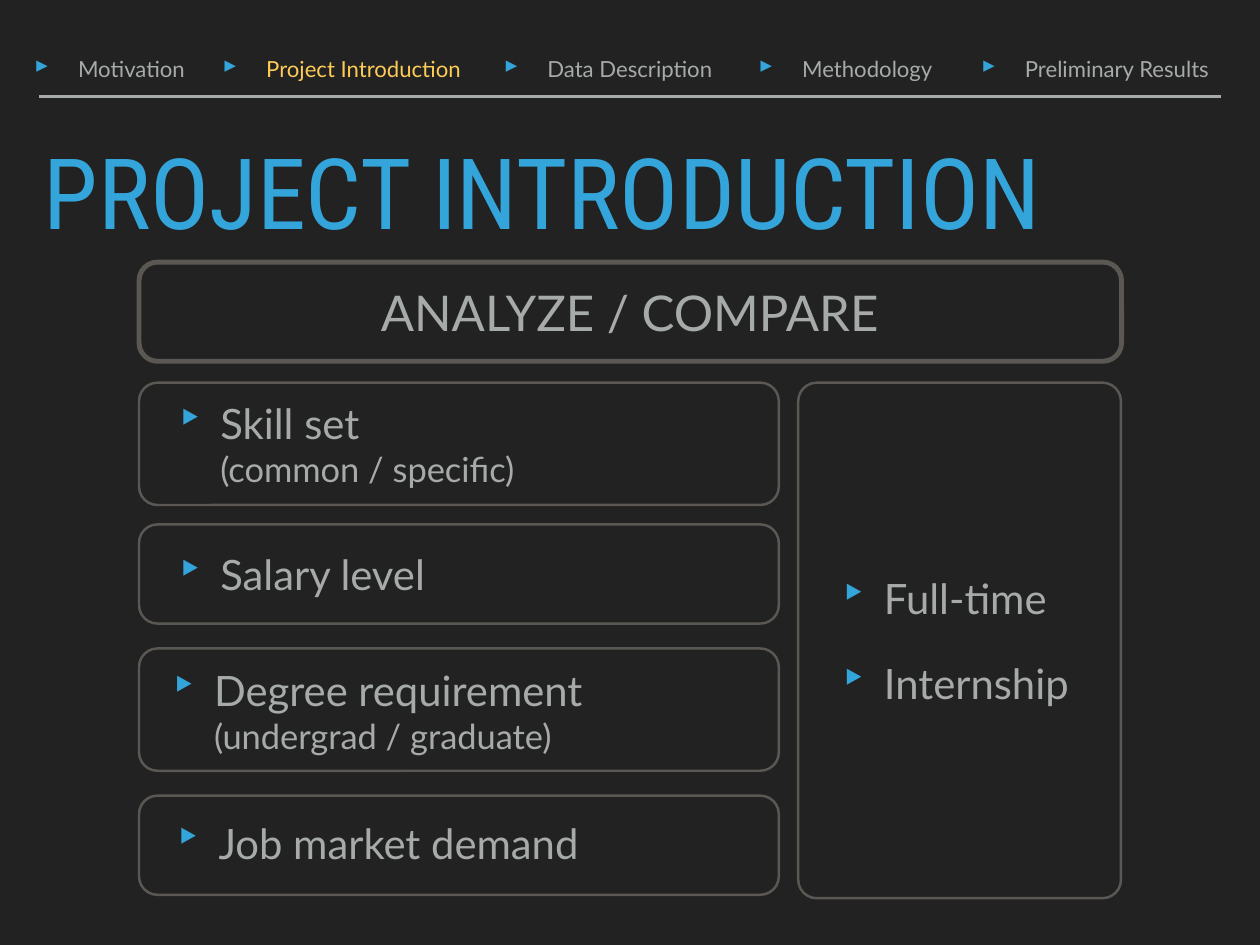
import pptx
import pptx.dml.color
import pptx.enum.shapes
import pptx.enum.text
import pptx.oxml.ns
import pptx.util
from lxml import etree

Pt = pptx.util.Pt
ANCHOR = pptx.enum.text.MSO_ANCHOR
ALIGN = pptx.enum.text.PP_ALIGN
FIT = pptx.enum.text.MSO_AUTO_SIZE


def rgb(value):
    return pptx.dml.color.RGBColor.from_string(value)


class Deck:
    """Holds the dark style and the current slide, and draws its elements."""

    back, blue, gold, grey, edge = "222222", "34A5DA", "FDCB56", "A6AAA9", "5B5854"
    font, title_font = "Lato", "Roboto Condensed"
    radius, indent = 15, 35.4

    def __init__(self, width, height):
        self.prs = pptx.Presentation()
        self.prs.slide_width, self.prs.slide_height = Pt(width), Pt(height)
        self.s = self.prs.slides.add_slide(self.prs.slide_layouts[6])
        self.s.background.fill.solid()
        self.s.background.fill.fore_color.rgb = rgb(self.back)

    def rule(self, x1, x2, y):
        c = self.s.shapes.add_connector(
            pptx.enum.shapes.MSO_CONNECTOR.STRAIGHT, Pt(x1), Pt(y), Pt(x2), Pt(y))
        c.line.color.rgb = rgb(self.grey)
        c.line.width = Pt(2)
        etree.SubElement(c._element.spPr, pptx.oxml.ns.qn("a:effectLst"))

    def frame(self, x, y, w, h, weight=2):
        sp = self.s.shapes.add_shape(
            pptx.enum.shapes.MSO_SHAPE.ROUNDED_RECTANGLE, Pt(x), Pt(y), Pt(w), Pt(h))
        sp.adjustments[0] = self.radius / min(w, h)
        sp.shadow.inherit = False
        sp.fill.background()
        sp.line.color.rgb = rgb(self.edge)
        sp.line.width = Pt(weight)

    def text(self, box, paragraphs, color=grey, font=font, bullet=None, wrap=True,
             grow=True, anchor=ANCHOR.MIDDLE, align=ALIGN.LEFT, before=28, inset=4,
             spacing=None):
        tf = self.s.shapes.add_textbox(*(Pt(v) for v in box)).text_frame
        tf.word_wrap = wrap
        tf.auto_size = FIT.SHAPE_TO_FIT_TEXT if grow else FIT.NONE
        tf.vertical_anchor = anchor
        tf.margin_left = tf.margin_right = tf.margin_top = tf.margin_bottom = Pt(inset)
        for i, lines in enumerate(paragraphs):
            p = tf.add_paragraph() if i else tf.paragraphs[0]
            p.alignment = align
            p.space_before = Pt(before)
            if spacing:
                p.line_spacing = spacing
            if bullet:
                self.bullet(p, bullet)
            for j, (words, size) in enumerate(lines):
                if j:
                    p.add_line_break()
                r = p.add_run()
                r.text = words
                r.font.name = font
                r.font.size = Pt(size)
                r.font.color.rgb = rgb(color)

    def bullet(self, p, char):
        qn = pptx.oxml.ns.qn
        pPr = p._p.get_or_add_pPr()
        pPr.set("marL", str(Pt(self.indent)))
        pPr.set("indent", str(-Pt(self.indent)))
        clr = etree.SubElement(pPr, qn("a:buClr"))
        etree.SubElement(clr, qn("a:srgbClr")).set("val", self.blue)
        etree.SubElement(pPr, qn("a:buSzPct")).set("val", "105000")
        etree.SubElement(pPr, qn("a:buChar")).set("char", char)


def main():
    d = Deck(1024, 768)
    d.rule(31.5, 992, 78.3)
    d.text((31.5, 121, 960, 96), [[("PROJECT INTRODUCTION", 80)]], d.blue, d.title_font,
           grow=False, anchor=ANCHOR.TOP, spacing=0.8)

    sections = [("Motivation", 24, 134), ("Project Introduction", 177, 208),
                ("Data Description", 405.5, 184), ("Methodology", 612.5, 157),
                ("Preliminary Results", 793.5, 201)]
    for name, x, w in sections:
        color = d.gold if name == "Project Introduction" else d.grey
        d.text((x, 39.6, w, 33), [[(name, 18)]], color, bullet="▸", wrap=False)

    d.frame(113, 213, 798.5, 80.6, 4)
    d.text((272, 224, 479.5, 59), [[("ANALYZE / COMPARE", 40)]],
           align=ALIGN.CENTER, before=24, inset=2)

    topics = [
        (311, 99.4, (139.7, 314.6, 304, 92), [("Skill set", 34), ("(common / specific)", 28)], {}),
        (426.2, 80.6, (139.7, 439.2, 223, 54), [("Salary level", 34)], {"wrap": False}),
        (527, 99.4, (134.6, 531.4, 414, 92),
         [("Degree requirement", 34), ("(undergrad / graduate)", 28)], {}),
        (646.6, 80.6, (138.2, 660.2, 458, 54), [("Job market demand", 34)],
         {"grow": False, "anchor": ANCHOR.TOP}),
    ]
    for y, h, box, lines, options in topics:
        d.frame(113, y, 520, h)
        d.text(box, [lines], bullet="‣", **options)

    d.frame(648.7, 311, 262.3, 419)
    d.text((679, 456.5, 202.3, 128), [[("Full-time", 34)], [("Internship", 34)]],
           bullet="‣", wrap=False)
    d.prs.save("out.pptx")


if __name__ == "__main__":
    main()
